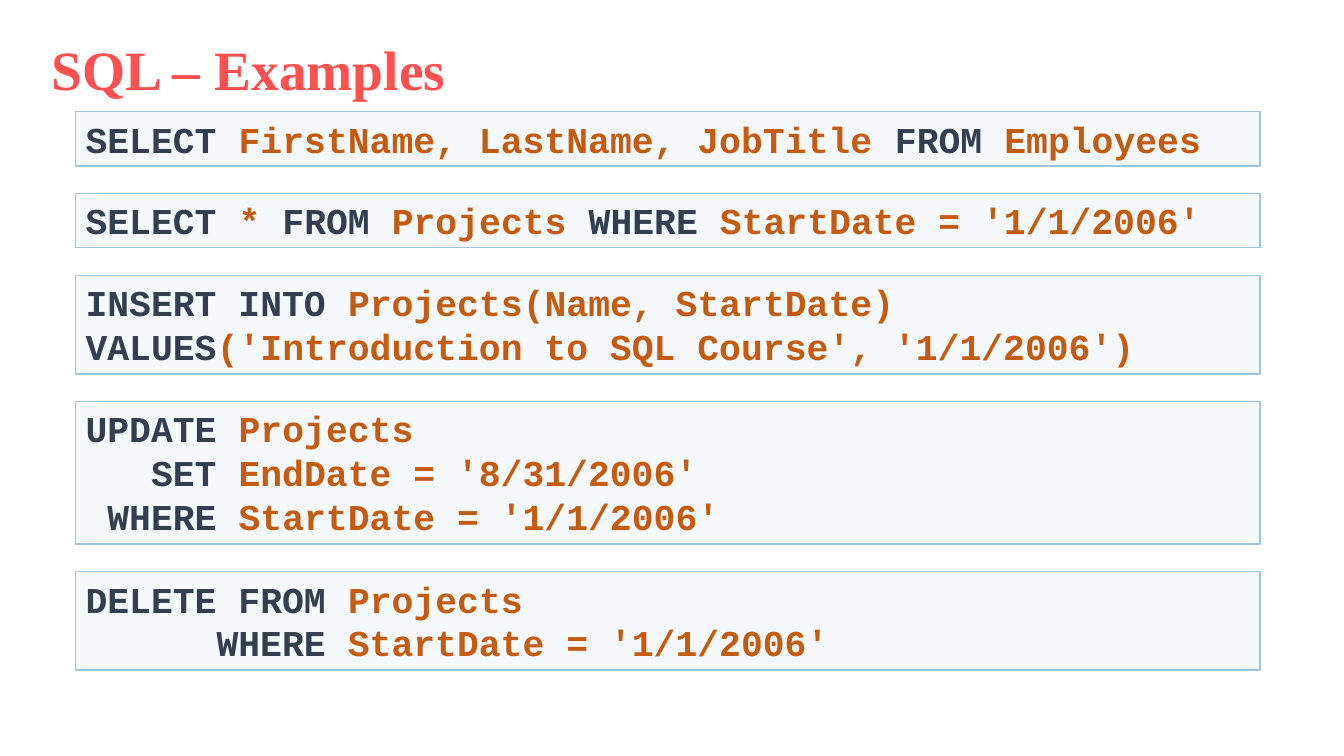
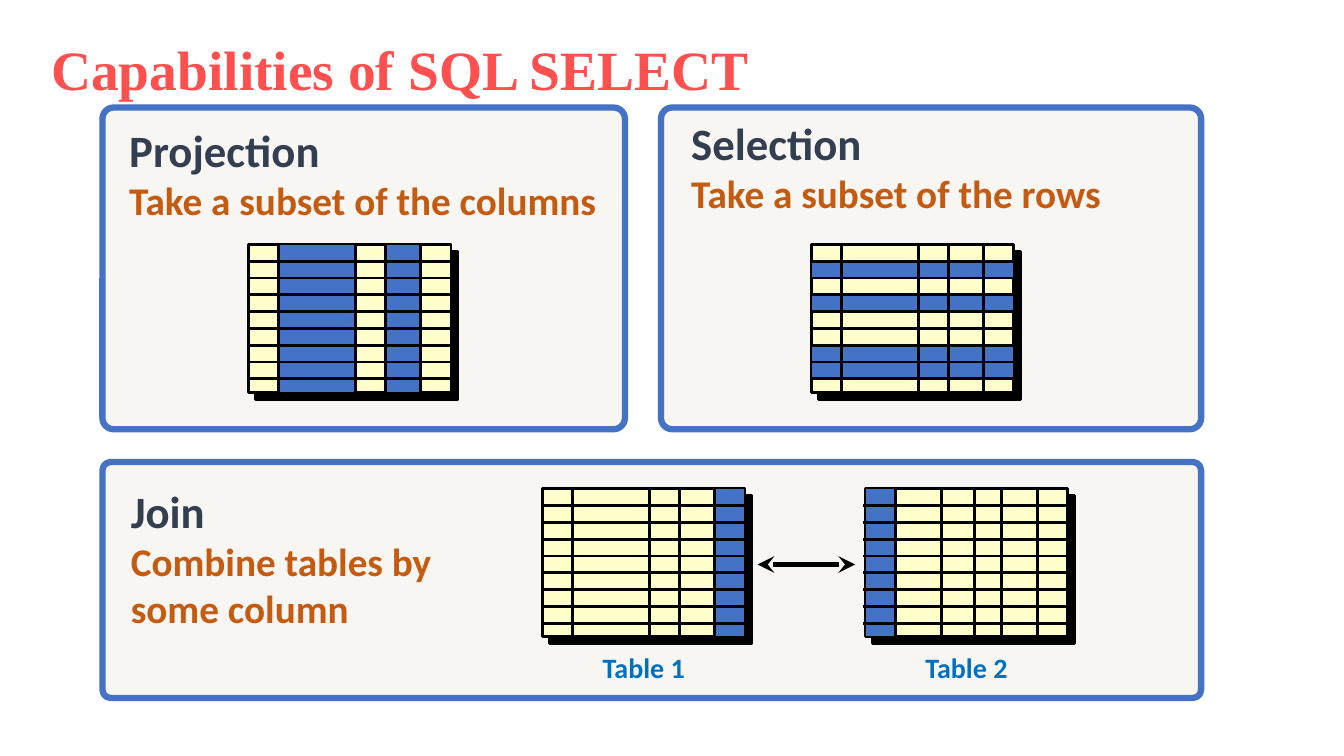
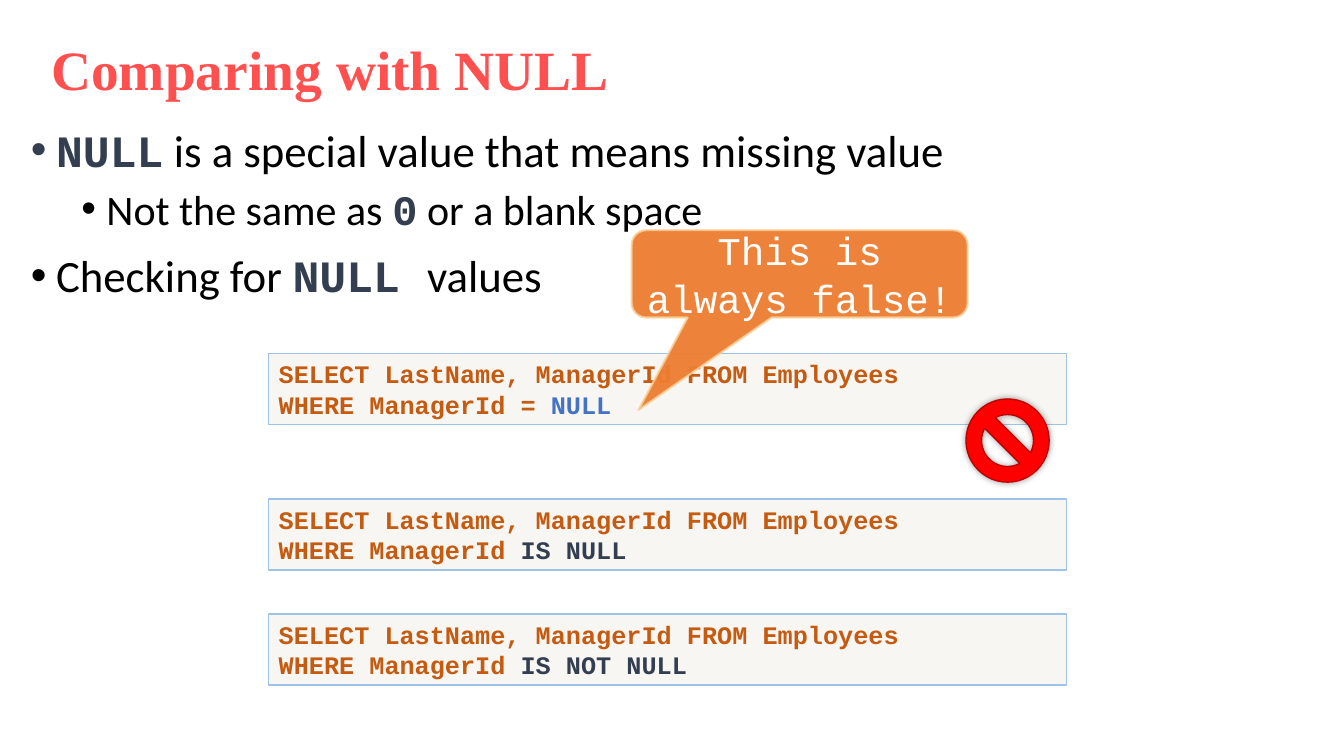
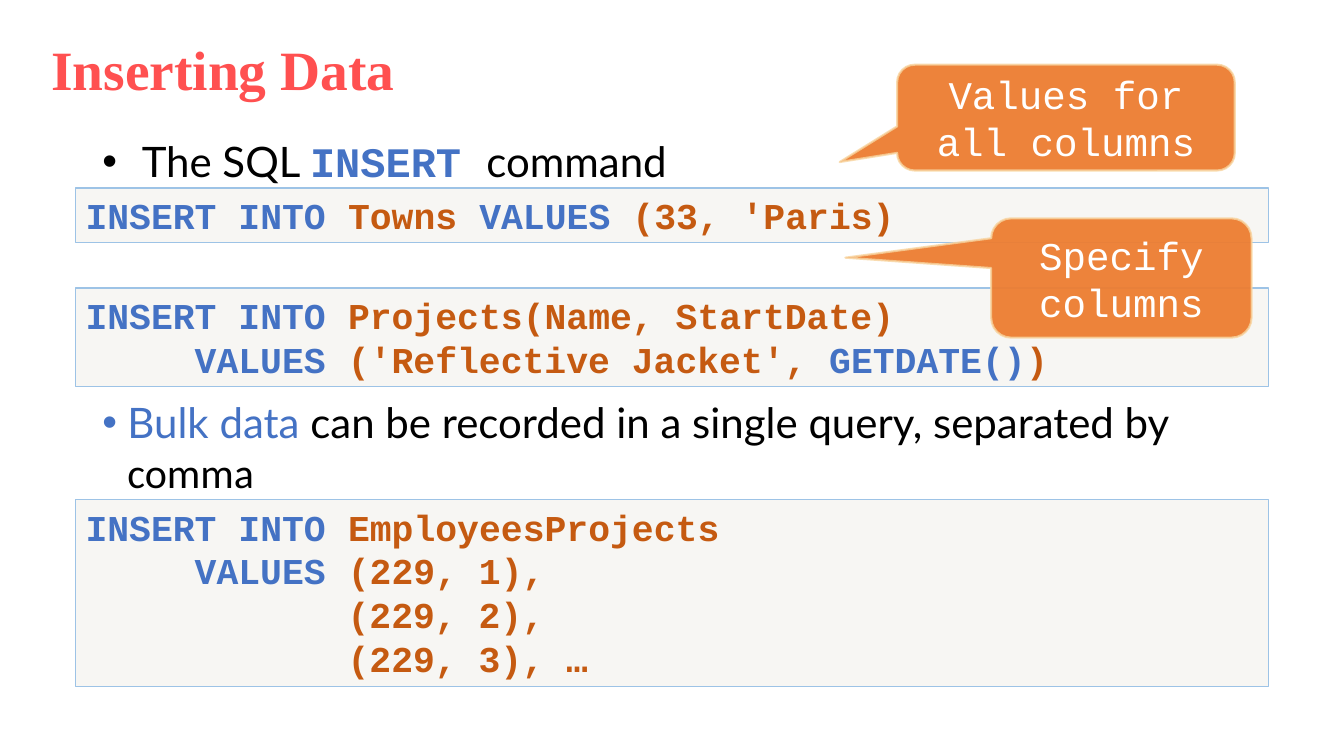
from dataclasses import dataclass

from lxml.etree import SubElement
from pptx import Presentation
from pptx.dml.color import RGBColor
from pptx.enum.shapes import MSO_CONNECTOR, MSO_SHAPE
from pptx.enum.text import MSO_ANCHOR, MSO_AUTO_SIZE, PP_ALIGN
from pptx.oxml.ns import qn
from pptx.util import Inches, Pt

# The slide is a grid of 160 columns by 90 rows of square cells
COLUMNS, ROWS = 160, 90
CELL = Inches(1 / 12)
TITLE_ONLY = 5


@dataclass(frozen=True)
class Theme:
    red: str = "FF5050"
    navy: str = "333F50"
    rust: str = "C55A11"
    blue: str = "4472C4"
    sky: str = "0070C0"
    black: str = "000000"
    white: str = "FFFFFF"
    cream: str = "FFFFCC"
    ice: str = "BDD7EE"
    sand: str = "D9D5C7"
    code_edge: str = "9DC3E6"
    callout: str = "ED7D31"
    callout_edge: str = "F8D49E"
    stop: str = "FF0000"
    stop_edge: str = "C00000"
    title_font: str = "Times New Roman"
    code_font: str = "Courier New"
    body_font: str = "Calibri"
    lesson_font: str = "Lato"
    title_size: float = 39.6
    heading_size: int = 32
    body_size: int = 30
    caption_size: int = 28
    code_size: int = 26
    label_size: int = 20
    small_code_size: int = 18


THEME = Theme()


@dataclass(frozen=True)
class Box:
    """A rectangle in grid cells."""
    left: float
    top: float
    width: float
    height: float

    def inside(self, left, top, width, height):
        return Box(self.left + left, self.top + top, width, height)

    def lengths(self):
        return [cells(n) for n in (self.left, self.top, self.width, self.height)]


@dataclass(frozen=True)
class Ink:
    colour: str
    font: str
    bold: bool = False


def cells(count):
    return round(count * CELL)


def rgb(colour):
    return RGBColor.from_string(colour)


# ---- Shape helpers ----

def set_alpha(parent, percent):
    colour = parent.find(qn("a:solidFill"))[0]
    SubElement(colour, qn("a:alpha"), val=str(percent * 1000))


def add_shadow(shape, blur, distance, percent):
    effects = shape._element.spPr.find(qn("a:effectLst"))
    shadow = SubElement(effects, qn("a:outerShdw"), blurRad=str(Pt(blur)),
                        dist=str(Pt(distance)), dir="2700000", algn="ctr", rotWithShape="0")
    colour = SubElement(shadow, qn("a:srgbClr"), val=THEME.black)
    SubElement(colour, qn("a:alpha"), val=str(percent * 1000))


def add_block(shapes, kind, box, fill, edge, edge_width, alpha=100, adjustments=()):
    shape = shapes.add_shape(kind, *box.lengths())
    shape.shadow.inherit = False
    shape.fill.solid()
    shape.fill.fore_color.rgb = rgb(fill)
    shape.line.color.rgb = rgb(edge)
    shape.line.width = Pt(edge_width)
    for index, value in enumerate(adjustments):
        shape.adjustments[index] = value
    if alpha < 100:
        set_alpha(shape._element.spPr, alpha)
    return shape


def add_line(shapes, start, end, width, arrows=False):
    line = shapes.add_connector(MSO_CONNECTOR.STRAIGHT,
                                *[cells(n) for n in (*start, *end)])
    line.line.color.rgb = rgb(THEME.black)
    line.line.width = Pt(width)
    if arrows:
        outline = line._element.spPr.find(qn("a:ln"))
        for end_name in ("a:headEnd", "a:tailEnd"):
            SubElement(outline, qn(end_name), type="stealth")
    SubElement(line._element.spPr, qn("a:effectLst"))


# ---- Text helpers ----

def next_paragraph(frame, index):
    return frame.paragraphs[0] if index == 0 else frame.add_paragraph()


def set_indent(paragraph, left, first=0):
    properties = paragraph._p.get_or_add_pPr()
    properties.set("marL", str(round(left)))
    properties.set("indent", str(round(first)))
    return properties


def format_paragraph(paragraph, ink, size, align=PP_ALIGN.LEFT):
    paragraph.alignment = align
    font = paragraph.font
    font.name, font.size, font.bold = ink.font, Pt(size), ink.bold
    font.color.rgb = rgb(ink.colour)


def add_runs(paragraph, marked, inks, size):
    """Write text whose parts, split at bars, take the inks in turn."""
    paragraph.font.size = Pt(size)
    for index, part in enumerate(marked.split("|")):
        if part:
            ink = inks[index % len(inks)]
            run = paragraph.add_run()
            run.text = part
            run.font.name, run.font.size, run.font.bold = ink.font, Pt(size), ink.bold
            run.font.color.rgb = rgb(ink.colour)


def add_text(shapes, box, lines, align=PP_ALIGN.LEFT):
    """Add a text box from (text, ink, size) lines."""
    frame = shapes.add_textbox(*box.lengths()).text_frame
    frame.word_wrap = True
    for index, (text, ink, size) in enumerate(lines):
        paragraph = next_paragraph(frame, index)
        paragraph.text = text
        format_paragraph(paragraph, ink, size, align)


# ---- Regions shared by the slides ----

def add_titled_slide(presentation, text):
    slide = presentation.slides.add_slide(presentation.slide_layouts[TITLE_ONLY])
    title = slide.shapes.title
    title.left, title.top, title.width, title.height = Box(4.9, 5, 138, 7.8).lengths()
    frame = title.text_frame
    frame.text = text
    frame.auto_size = MSO_AUTO_SIZE.NONE
    frame.vertical_anchor = MSO_ANCHOR.MIDDLE
    paragraph = frame.paragraphs[0]
    paragraph.line_spacing = 0.8
    format_paragraph(paragraph, Ink(THEME.red, THEME.title_font, True), THEME.title_size)
    return slide


def add_code(slide, left, top, width, lines, keyword=THEME.navy,
             size=THEME.code_size, fill=THEME.sand, alpha=20):
    """Add a code box as tall as its (indent, text) lines; return its bottom."""
    box = Box(left, top, width, 1.2 + 0.202 * size * len(lines))
    shape = add_block(slide.shapes, MSO_SHAPE.RECTANGLE, box, fill,
                      THEME.code_edge, 1, alpha)
    frame = shape.text_frame
    frame.word_wrap = True
    frame.vertical_anchor = MSO_ANCHOR.TOP
    inks = [Ink(colour, THEME.code_font, True) for colour in (keyword, THEME.rust)]
    for index, (indent, text) in enumerate(lines):
        paragraph = next_paragraph(frame, index)
        paragraph.alignment = PP_ALIGN.LEFT
        set_indent(paragraph, indent * 0.6 * Pt(size))
        add_runs(paragraph, text, inks, size)
    return box.top + box.height


def add_callout(slide, box, tip, lines):
    shape = add_block(slide.shapes, MSO_SHAPE.ROUNDED_RECTANGULAR_CALLOUT, box,
                      THEME.callout, THEME.callout_edge, 1.5, 95, (*tip, 0.167))
    set_alpha(shape._element.spPr.find(qn("a:ln")), 80)
    frame = shape.text_frame
    frame.word_wrap = True
    frame.vertical_anchor = MSO_ANCHOR.MIDDLE
    for index, text in enumerate(lines):
        paragraph = next_paragraph(frame, index)
        paragraph.text = text
        format_paragraph(paragraph, Ink(THEME.white, THEME.code_font),
                         THEME.caption_size, PP_ALIGN.CENTER)


def add_bullets(slide, box, items):
    """Add bullets from (text, inks, size, left, hang, space before) items."""
    frame = slide.shapes.add_textbox(*box.lengths()).text_frame
    frame.word_wrap = True
    for index, (text, inks, size, left, hang, space) in enumerate(items):
        paragraph = next_paragraph(frame, index)
        properties = set_indent(paragraph, cells(left), -cells(hang))
        SubElement(properties, qn("a:buFont"), typeface="Arial")
        SubElement(properties, qn("a:buChar"), char="•")
        paragraph.space_before = Pt(space)
        add_runs(paragraph, text, inks, size)


# ---- Parts of the capabilities slide ----

GRID_WIDTH, GRID_HEIGHT, GRID_ROWS = 24.1, 17.6, 9
WIDE_COLUMNS = (3.6, 12.7, 16.3, 20.5)
EVEN_COLUMNS = (3.6, 9.1, 13, 16.2, 20.5)


def add_data_grid(shapes, box, column_edges, marked_columns=(), marked_rows=()):
    """Draw a small data table with some columns or rows marked."""
    sheet = add_block(shapes, MSO_SHAPE.RECTANGLE, box, THEME.cream, THEME.black, 2)
    add_shadow(sheet, 0, 7.1, 100)
    pitch = box.height / (GRID_ROWS - 0.2)
    row_edges = [pitch * row for row in range(1, GRID_ROWS)]
    across = [0, *column_edges, box.width]
    down = [0, *row_edges, box.height]
    bands = [box.inside(across[n], 0, across[n + 1] - across[n], box.height)
             for n in marked_columns]
    bands += [box.inside(0, down[n], box.width, down[n + 1] - down[n])
              for n in marked_rows]
    for band in bands:
        add_block(shapes, MSO_SHAPE.RECTANGLE, band, THEME.blue, THEME.black, 0.75)
    overhang = 0.2
    right, bottom = box.left + box.width, box.top + box.height
    for edge in column_edges:
        x = box.left + edge
        add_line(shapes, (x, box.top - overhang), (x, bottom + overhang), 2)
    for edge in row_edges:
        y = box.top + edge
        add_line(shapes, (box.left - overhang, y), (right + overhang, y), 2)


def add_panel(slide, box, text_box, heading, captions):
    """Add a framed panel with its heading; return its shapes for more parts."""
    shapes = slide.shapes.add_group_shape().shapes
    add_block(shapes, MSO_SHAPE.ROUNDED_RECTANGLE, box, THEME.sand, THEME.blue,
              4.5, 20, (0.035,))
    caption_ink = Ink(THEME.rust, THEME.body_font, True)
    lines = [(heading, Ink(THEME.navy, THEME.body_font, True), THEME.heading_size)]
    lines += [(caption, caption_ink, THEME.caption_size) for caption in captions]
    add_text(shapes, box.inside(*text_box), lines)
    return shapes


def add_join_tables(shapes, box):
    label_ink = Ink(THEME.sky, THEME.body_font, True)
    tables = (("Table 1", 52.4, WIDE_COLUMNS, 4), ("Table 2", 90.8, EVEN_COLUMNS, 0))
    for label, left, columns, key in tables:
        grid = box.inside(left, 3.2, GRID_WIDTH, GRID_HEIGHT)
        add_data_grid(shapes, grid, columns, marked_columns=(key,))
        add_text(shapes, box.inside(left, 21.9, GRID_WIDTH, 5.2),
                 [(label, label_ink, THEME.label_size)], PP_ALIGN.CENTER)
    y = box.top + 12.2
    add_line(shapes, (box.left + 78, y), (box.left + 89.6, y), 4, arrows=True)


# ---- Slides ----

def build_examples(presentation):
    slide = add_titled_slide(presentation, "SQL – Examples")
    statements = (
        [(0, "SELECT |FirstName, LastName, JobTitle |FROM |Employees")],
        [(0, "SELECT |* |FROM |Projects |WHERE |StartDate = '1/1/2006'")],
        [(0, "INSERT INTO |Projects(Name, StartDate)"),
         (0, "VALUES|('Introduction to SQL Course', '1/1/2006')")],
        [(0, "UPDATE |Projects"),
         (3, "SET |EndDate = '8/31/2006'"),
         (1, "WHERE |StartDate = '1/1/2006'")],
        [(0, "DELETE FROM |Projects"),
         (6, "WHERE |StartDate = '1/1/2006'")],
    )
    top, gap = 13.3, 3.3
    for lines in statements:
        top = gap + add_code(slide, 9, top, 141, lines, fill=THEME.ice, alpha=15)


def build_capabilities(presentation):
    slide = add_titled_slide(presentation, "Capabilities of SQL SELECT")

    # Selection marks rows
    box = Box(78.7, 12.8, 64.3, 38.3)
    shapes = add_panel(slide, box, (2.4, 0.4, 58, 13.3), "Selection",
                       ["Take a subset of the rows"])
    add_data_grid(shapes, box.inside(17.9, 16.3, GRID_WIDTH, GRID_HEIGHT),
                  WIDE_COLUMNS, marked_rows=(1, 3, 6, 7))

    # Projection marks columns
    box = Box(12.2, 12.8, 62.2, 38.3)
    shapes = add_panel(slide, box, (2, 1.2, 60, 13.3), "Projection",
                       ["Take a subset of the columns"])
    add_data_grid(shapes, box.inside(17.4, 16.3, GRID_WIDTH, GRID_HEIGHT),
                  WIDE_COLUMNS, marked_columns=(1, 3))

    # Join links two tables
    box = Box(12.2, 55, 130.8, 28.1)
    shapes = add_panel(slide, box, (2.2, 2, 42, 19), "Join",
                       ["Combine tables by", "some column"])
    add_join_tables(shapes, box)


def build_null(presentation):
    slide = add_titled_slide(presentation, "Comparing with NULL")
    inks = (Ink(THEME.black, THEME.body_font), Ink(THEME.navy, THEME.code_font, True))
    large, medium = THEME.heading_size, THEME.body_size
    add_bullets(slide, Box(2.5, 14, 155, 25), (
        ("|NULL| is a special value that means missing value", inks, large, 3, 3, 10),
        ("Not the same as |0| or a blank space", inks, medium, 9, 3, 5),
        ("Checking for |NULL |values", inks, large, 3, 3, 10),
    ))

    queries = ((42.1, "= |NULL", THEME.blue),
               (59.4, "|IS NULL", THEME.navy),
               (73.1, "|IS NOT NULL", THEME.navy))
    for top, condition, keyword in queries:
        lines = [(0, "|SELECT LastName, ManagerId FROM Employees"),
                 (0, "|WHERE ManagerId " + condition)]
        add_code(slide, 32, top, 95, lines, keyword, THEME.small_code_size)

    add_callout(slide, Box(75.2, 27.4, 40, 10.4), (-0.48, 1.56),
                ["This is always false!"])
    stop = add_block(slide.shapes, MSO_SHAPE.NO_SYMBOL, Box(115, 47.5, 9.9, 9.9),
                     THEME.stop, THEME.stop_edge, 1)
    add_shadow(stop, 5, 0, 40)


def build_inserting(presentation):
    slide = add_titled_slide(presentation, "Inserting Data")
    plain = Ink(THEME.black, THEME.lesson_font)
    command = Ink(THEME.blue, THEME.code_font, True)
    bulk = (Ink(THEME.blue, THEME.lesson_font), plain, Ink(THEME.black, THEME.body_font))
    size = THEME.body_size
    add_bullets(slide, Box(11, 15.6, 138, 57), (
        ("The SQL |INSERT |command", (plain, command), size, 4.7, 4.7, 10),
        ("Bulk data |can be recorded in a single query, separated by |comma",
         bulk, size, 3, 3, 150),
    ))

    statements = (
        (22.4, [(0, "INSERT INTO |Towns |VALUES |(33, 'Paris)")]),
        (34.3, [(0, "INSERT INTO |Projects(Name, StartDate)"),
                (5, "VALUES |('Reflective Jacket', |GETDATE()|)")]),
        (59.5, [(0, "INSERT INTO |EmployeesProjects"),
                (5, "VALUES |(229, 1),"),
                (12, "|(229, 2),"),
                (12, "|(229, 3), …")]),
    )
    for top, lines in statements:
        add_code(slide, 9, top, 142, lines, THEME.blue)

    add_callout(slide, Box(106.8, 7.7, 40.2, 12.6), (-0.67, 0.42),
                ["Values for", "all columns"])
    add_callout(slide, Box(118, 26, 31, 14.2), (-1.06, -0.17),
                ["Specify", "columns"])


def main():
    presentation = Presentation()
    presentation.slide_width = cells(COLUMNS)
    presentation.slide_height = cells(ROWS)
    for build in (build_examples, build_capabilities, build_null, build_inserting):
        build(presentation)
    presentation.save("out.pptx")


if __name__ == "__main__":
    main()
